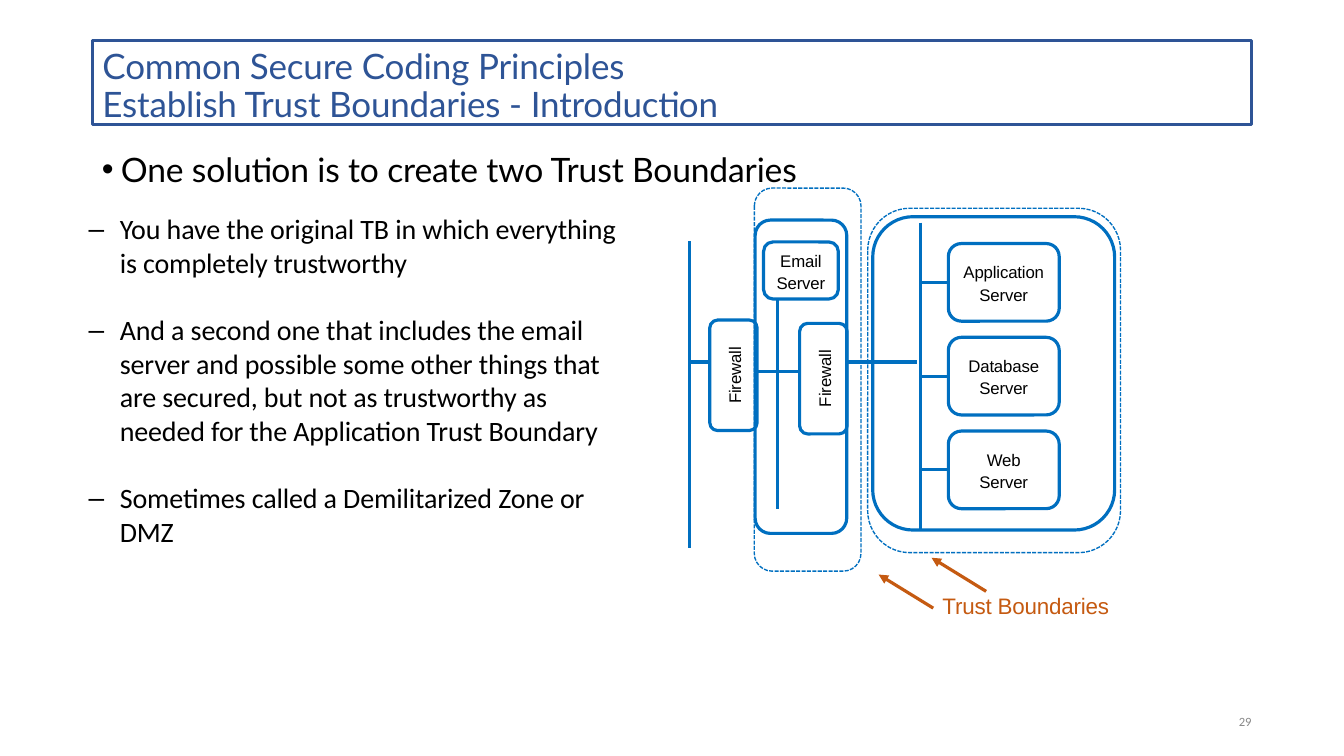
import pptx
import pptx.dml.color
import pptx.enum.dml
import pptx.enum.shapes
import pptx.enum.text
import pptx.oxml.ns
import pptx.util
from dataclasses import dataclass
from lxml import etree

ALIGN = pptx.enum.text.PP_ALIGN
ANCHOR = pptx.enum.text.MSO_ANCHOR


@dataclass(frozen=True)
class Theme:
    navy: str = "2E5496"
    blue: str = "006FC0"
    orange: str = "C55A11"
    black: str = "000000"
    grey: str = "888888"
    heading_font: str = "Lato"
    body_font: str = "Calibri"
    label_font: str = "Arial"
    title_size: float = 25
    headline_size: float = 24
    list_size: float = 20
    callout_size: float = 16
    label_size: float = 12
    page_size: float = 9
    thick: float = 2.28
    frame: float = 2.04
    thin: float = 0.96
    tracking: int = -10


class SlideBuilder:
    """Places elements on a grid of 80 columns by 45 rows."""

    def __init__(self, presentation, slide, theme):
        self.slide, self.theme = slide, theme
        self.column = presentation.slide_width / 80
        self.row = presentation.slide_height / 45

    def x(self, columns):
        return round(columns * self.column)

    def y(self, rows):
        return round(rows * self.row)

    def place(self, shape, area):
        left, top, width, height = area
        shape.left, shape.top = self.x(left), self.y(top)
        shape.width, shape.height = self.x(width), self.y(height)

    def frame(self, shape, anchor=ANCHOR.TOP, top=0.01):
        frame = shape.text_frame
        frame.word_wrap = True
        frame.auto_size = pptx.enum.text.MSO_AUTO_SIZE.NONE
        frame.vertical_anchor = anchor
        frame.margin_left = frame.margin_right = frame.margin_bottom = 0
        frame.margin_top = pptx.util.Inches(top)
        return frame

    def add_lines(self, paragraph, lines, font, size, color, align=ALIGN.LEFT):
        paragraph.alignment = align
        paragraph.space_before = pptx.util.Pt(0)
        for index, line in enumerate(lines):
            if index:
                paragraph.add_line_break()
            run = paragraph.add_run()
            run.text = line
            run.font.name, run.font.size = font, pptx.util.Pt(size)
            run.font.color.rgb = pptx.dml.color.RGBColor.from_string(color)
            run.font._element.set("spc", str(self.theme.tracking))

    def stroke(self, shape, color, weight):
        shape.line.color.rgb = pptx.dml.color.RGBColor.from_string(color)
        shape.line.width = pptx.util.Pt(weight)

    def title(self, area, lines):
        shape = self.slide.shapes.title
        self.place(shape, area)
        self.stroke(shape, self.theme.navy, self.theme.frame)
        frame = self.frame(shape, top=0.08)
        frame.margin_left = pptx.util.Inches(0.1)
        paragraph = frame.paragraphs[0]
        self.add_lines(paragraph, lines, self.theme.heading_font, self.theme.title_size,
                       self.theme.navy)
        paragraph.line_spacing = pptx.util.Pt(27)

    def bullets(self, index, area, items, mark, font, size, margin, hanging, gap=0):
        shape = self.slide.placeholders[index]
        self.place(shape, area)
        frame = self.frame(shape)
        for number, lines in enumerate(items):
            paragraph = frame.add_paragraph() if number else frame.paragraphs[0]
            properties = paragraph._p.get_or_add_pPr()
            properties.set("marL", str(pptx.util.Inches(margin)))
            properties.set("indent", str(-pptx.util.Inches(hanging)))
            for tag, name, value in (("a:buFont", "typeface", self.theme.label_font),
                                     ("a:buChar", "char", mark)):
                etree.SubElement(properties, pptx.oxml.ns.qn(tag)).set(name, value)
            self.add_lines(paragraph, lines, font, size, self.theme.black)
            if number:
                paragraph.space_before = pptx.util.Pt(gap)

    def box(self, area, lines=(), vertical=False, boundary=False):
        shape = self.slide.shapes.add_shape(
            pptx.enum.shapes.MSO_SHAPE.ROUNDED_RECTANGLE, 0, 0, 0, 0)
        self.place(shape, area)
        shape.shadow.inherit = False
        shape.fill.background()
        self.stroke(shape, self.theme.blue, self.theme.thin if boundary else self.theme.thick)
        if boundary:
            shape.line.dash_style = pptx.enum.dml.MSO_LINE.SQUARE_DOT
        if lines:
            frame = self.frame(shape, ANCHOR.MIDDLE, top=0)
            if vertical:
                frame._txBody.bodyPr.set("vert", "vert270")
            paragraph = frame.paragraphs[0]
            self.add_lines(paragraph, lines, self.theme.label_font, self.theme.label_size,
                           self.theme.black, ALIGN.CENTER)
            paragraph.line_spacing = 1.1
        return shape

    def label(self, area, text, font, size, color, align=ALIGN.LEFT):
        shape = self.slide.shapes.add_textbox(0, 0, 0, 0)
        self.place(shape, area)
        self.add_lines(self.frame(shape).paragraphs[0], [text], font, size, color, align)

    def connect(self, start, end, color=None, arrow=False, target=None):
        connector = self.slide.shapes.add_connector(
            pptx.enum.shapes.MSO_CONNECTOR.STRAIGHT,
            self.x(start[0]), self.y(start[1]), self.x(end[0]), self.y(end[1]))
        if target is not None:
            connector.end_connect(target, 1)
        self.stroke(connector, color or self.theme.blue, self.theme.thick)
        if arrow:
            line = connector.line._get_or_add_ln()
            etree.SubElement(line, pptx.oxml.ns.qn("a:tailEnd")).set("type", "triangle")
        etree.SubElement(connector._element.spPr, pptx.oxml.ns.qn("a:effectLst"))


def main():
    theme = Theme()
    presentation = pptx.Presentation()
    presentation.slide_width = pptx.util.Inches(13.33)
    presentation.slide_height = pptx.util.Inches(7.5)
    slide = presentation.slides.add_slide(presentation.slide_layouts[3])
    builder = SlideBuilder(presentation, slide, theme)

    # Title and text
    builder.title((5.5, 2.4, 69, 5),
                  ["Common Secure Coding Principles", "Establish Trust Boundaries - Introduction"])
    builder.bullets(1, (6, 8.8, 45, 2.6), [["One solution is to create two Trust Boundaries"]],
                    "•", theme.heading_font, theme.headline_size, 0.2, 0.19)
    builder.bullets(2, (5.15, 12.55, 33, 20.5), [
        ["You have the original TB in which everything", "is completely trustworthy"],
        ["And a second one that includes the email", "server and possible some other things that",
         "are secured, but not as trustworthy as", "needed for the Application Trust Boundary"],
        ["Sometimes called a Demilitarized Zone or", "DMZ"],
    ], "–", theme.body_font, theme.list_size, 0.33, 0.31, gap=24)

    # Trust boundaries and the zones inside them
    builder.box((44.9, 11.2, 6.35, 22.8), boundary=True)
    builder.box((51.65, 12.4, 15.05, 20.5), boundary=True)
    builder.box((44.95, 13.1, 5.45, 18.65))
    builder.box((51.95, 12.9, 14.4, 18.65))

    # Application servers on their bus
    bus = 54.8
    builder.connect((bus, 13.25), (bus, 31.55))
    for index, name in enumerate(("Application", "Database", "Web")):
        top, height = 14.5 + 5.58 * index, 4.62
        server = builder.box((56.45, top, 6.6, height), [name, "Server"])
        middle = top + height / 2
        builder.connect((bus, middle), (56.45, middle), target=server)

    # Email server and firewalls
    builder.box((45.45, 14.4, 4.45, 3.4), ["Email", "Server"])
    for left, top in ((42.25, 19.05), (47.6, 19.25)):
        builder.box((left, top, 2.82, 6.58), ["Firewall"], vertical=True)

    # Network lines
    for start, end in (((41.05, 14.35), (41.05, 32.65)), ((41.05, 21.55), (42.25, 21.55)),
                       ((45.05, 22.1), (47.6, 22.1)), ((50.5, 21.55), (54.6, 21.55)),
                       ((46.3, 17.8), (46.3, 30.3))):
        builder.connect(start, end)

    # Callout and page number
    for left, top in ((52.3, 34.2), (55.45, 33.2)):
        builder.connect((left + 3.25, top + 2), (left, top), theme.orange, arrow=True)
    builder.label((56.1, 35.2, 11, 1.7), "Trust Boundaries",
                  theme.label_font, theme.callout_size, theme.orange)
    builder.label((72.5, 42.45, 2, 0.95), "29", theme.body_font, theme.page_size,
                  theme.grey, ALIGN.RIGHT)

    presentation.save("out.pptx")


if __name__ == "__main__":
    main()
